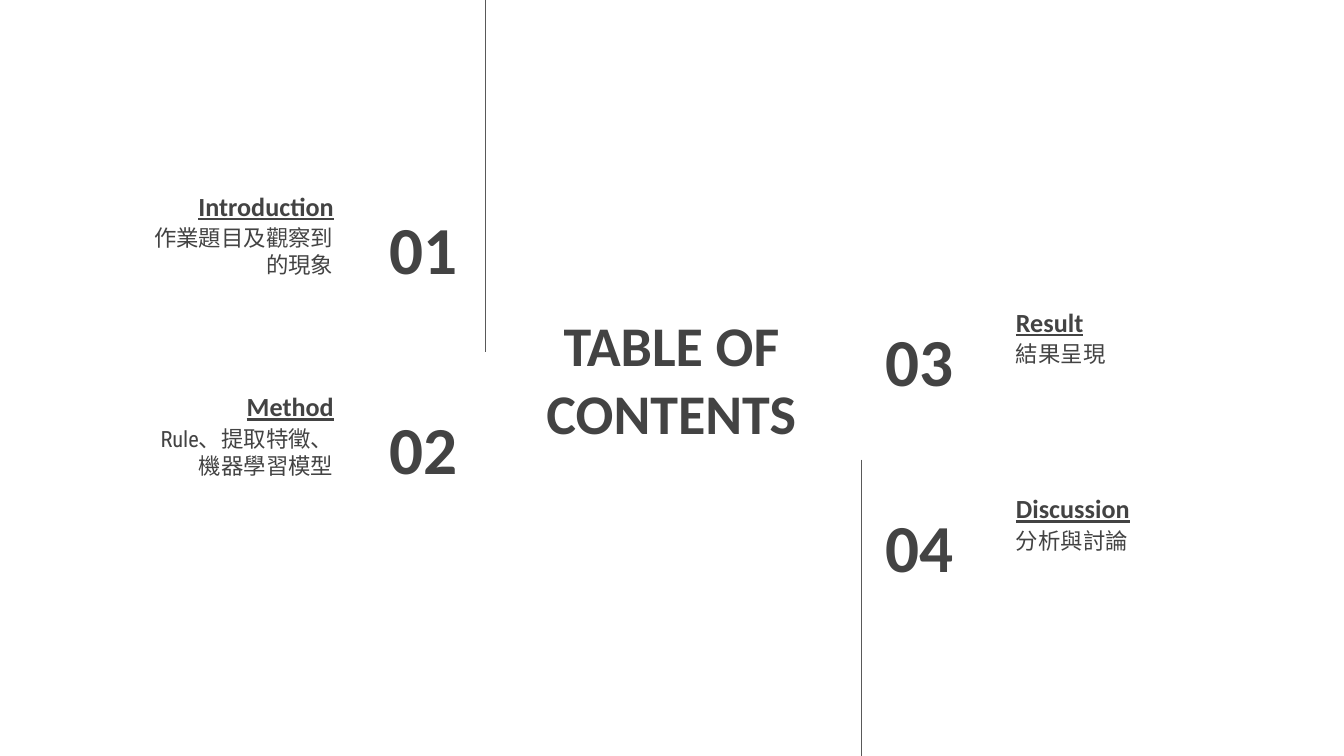
"""Build the table of contents slide with four numbered sections."""
from pptx import Presentation
from pptx.dml.color import RGBColor
from pptx.enum.shapes import MSO_CONNECTOR
from pptx.enum.text import MSO_ANCHOR, PP_ALIGN
from pptx.oxml.ns import qn
from pptx.util import Cm, Pt
from lxml.etree import SubElement

COLORS = {"text": "434343", "line": "595959"}
HEIGHT = 14.29
ROW_H = 1.6

prs = Presentation()
prs.slide_width, prs.slide_height = Cm(25.4), Cm(HEIGHT)
s = prs.slides.add_slide(prs.slide_layouts[6])


def add_text(text, x, y, w, h, size, align, anchor=MSO_ANCHOR.MIDDLE,
             font="Calibri", bold=True, underline=False):
    tf = s.shapes.add_textbox(Cm(x), Cm(y), Cm(w), Cm(h)).text_frame
    tf.word_wrap = True
    tf.vertical_anchor = anchor
    tf.margin_left = tf.margin_right = tf.margin_top = tf.margin_bottom = Cm(0.25)
    p = tf.paragraphs[0]
    p.alignment = align
    r = p.add_run()
    r.text = text
    r.font.name, r.font.size = font, Pt(size)
    r.font.bold, r.font.underline = bold, underline
    r.font.color.rgb = RGBColor.from_string(COLORS["text"])


add_text("TABLE OF CONTENTS", 9.4, 5.84, 6.58, 2.62, 30, PP_ALIGN.CENTER)

left = {"align": PP_ALIGN.RIGHT, "number": (5.82, 3.07), "drop": 1.04,
        "heading": (1.07, 5.49), "body": (2.51, 4.04)}
right = {"align": PP_ALIGN.LEFT, "number": (16.48, 2.97), "drop": 0.96,
         "heading": (18.95, 5.49), "body": (18.95, 4.65)}
sections = [
    (left, 2.84, "Introduction", "作業題目及觀察到的現象"),
    (left, 6.63, "Method", "Rule、提取特徵、機器學習模型"),
    (right, 5.03, "Result", "結果呈現"),
    (right, 8.56, "Discussion", "分析與討論"),
]
for i, (side, y, heading, body) in enumerate(sections, 1):
    align = side["align"]
    x, w = side["number"]
    add_text(f"{i:02}", x, y + side["drop"], w, ROW_H, 36, align)
    x, w = side["heading"]
    add_text(heading, x, y, w, ROW_H, 14, align, MSO_ANCHOR.BOTTOM, underline=True)
    x, w = side["body"]
    add_text(body, x, y + 1.15, w, ROW_H, 12, align, MSO_ANCHOR.TOP,
             "Roboto Condensed", bold=False)

for x, top, bottom in [(9.17, 0, 6.65), (16.28, 8.69, HEIGHT)]:
    sp = s.shapes.add_connector(MSO_CONNECTOR.STRAIGHT, Cm(x), Cm(top), Cm(x), Cm(bottom))
    sp.line.color.rgb = RGBColor.from_string(COLORS["line"])
    sp.line.width = Pt(0.75)
    SubElement(sp.element.spPr, qn("a:effectLst"))

prs.save("out.pptx")
